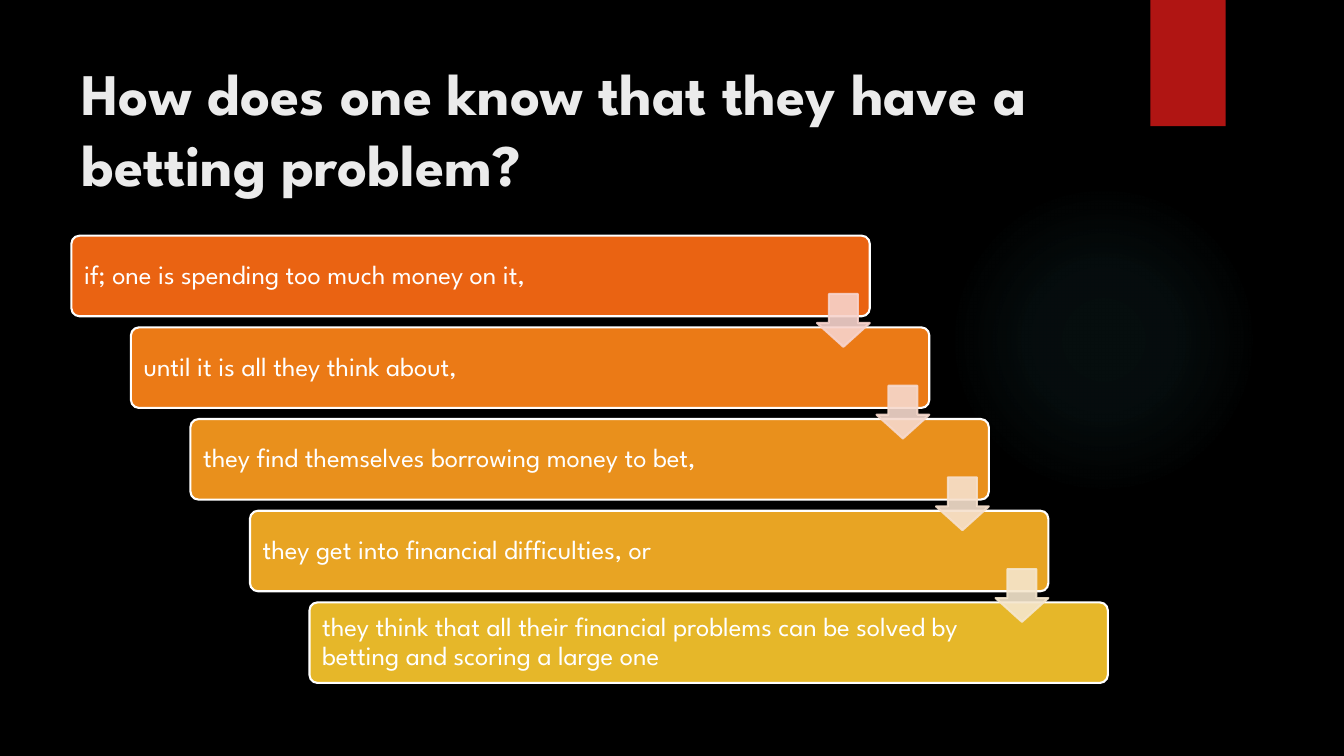
from lxml.etree import SubElement
from pptx import Presentation
from pptx.dml.color import RGBColor
from pptx.enum.shapes import MSO_SHAPE
from pptx.enum.text import MSO_ANCHOR, PP_ALIGN
from pptx.oxml import parse_xml
from pptx.oxml.ns import nsdecls, qn
from pptx.util import Cm, Pt

TITLE = "How does one know that they have a betting problem?"
STEPS = [
    ("if; one is spending too much money on it,", RGBColor(0xEA, 0x63, 0x12)),
    ("until it is all they think about,", RGBColor(0xEB, 0x7A, 0x16)),
    ("they find themselves borrowing money to bet,", RGBColor(0xE9, 0x90, 0x1C)),
    ("they get into financial difficulties, or", RGBColor(0xE8, 0xA4, 0x23)),
    ("they think that all their financial problems can be solved by "
     "betting and scoring a large one", RGBColor(0xE6, 0xB7, 0x29)),
]
ARROW_COLORS = [
    RGBColor(0xF7, 0xD3, 0xCC),
    RGBColor(0xF6, 0xD9, 0xCD),
    RGBColor(0xF6, 0xE0, 0xCD),
    RGBColor(0xF5, 0xE6, 0xCD),
]
GLOW_STOPS = [(0, 7), (36, 6), (69, 0)]

BLACK = RGBColor(0x00, 0x00, 0x00)
WHITE = RGBColor(0xFF, 0xFF, 0xFF)
OFF_WHITE = RGBColor(0xEB, 0xEB, 0xEB)
RED = RGBColor(0xB0, 0x15, 0x13)
TEAL = RGBColor(0x50, 0xB9, 0xC1)
FONT = "League Spartan"

BAR_LEFT, BAR_TOP, BAR_WIDTH, BAR_HEIGHT = 1.8, 5.94, 20.12, 2.03
STEP_X, STEP_Y = 1.5, 2.31
ARROW_SIZE = 1.33
ARROW_LEFT = BAR_LEFT + BAR_WIDTH - ARROW_SIZE
ARROW_TOP = 7.41

BAR_FRAME = {
    "word_wrap": True,
    "vertical_anchor": MSO_ANCHOR.MIDDLE,
    "margin_left": Cm(0.26),
    "margin_right": Cm(3.1),
    "margin_top": Cm(0.2),
    "margin_bottom": Cm(0.2),
}
BAR_PARAGRAPH = {"alignment": PP_ALIGN.LEFT, "line_spacing": 0.9}
BAR_FONT = {"name": FONT, "size": Pt(19), "bold": False}
TITLE_FRAME = {"word_wrap": True, "vertical_anchor": MSO_ANCHOR.MIDDLE}
TITLE_PARAGRAPH = {"alignment": PP_ALIGN.LEFT}
TITLE_FONT = {"name": FONT, "size": Pt(42), "bold": True}


def assign(target, values):
    for name, value in values.items():
        setattr(target, name, value)


def write(sp, text, color, frame, paragraph, font):
    tf = sp.text_frame
    assign(tf, frame)
    p = tf.paragraphs[0]
    assign(p, paragraph)
    r = p.add_run()
    r.text = text
    assign(r.font, font)
    r.font.color.rgb = color


def add_shape(s, kind, left, top, width, height, fill=None, line=None):
    sp = s.shapes.add_shape(kind, Cm(left), Cm(top), Cm(width), Cm(height))
    sp.shadow.inherit = False
    if fill is None:
        sp.fill.background()
    else:
        sp.fill.solid()
        sp.fill.fore_color.rgb = fill
    if line is None:
        sp.line.fill.background()
    else:
        sp.line.color.rgb = line
        sp.line.width = Pt(1.5)
    return sp


def add_glow(s):
    sp = add_shape(s, MSO_SHAPE.OVAL, 23.9, 4.65, 7.82, 7.82)
    stops = "".join(
        f'<a:gs pos="{pos * 1000}"><a:srgbClr val="{TEAL}">'
        f'<a:alpha val="{alpha * 1000}"/></a:srgbClr></a:gs>'
        for pos, alpha in GLOW_STOPS
    )
    gradient = parse_xml(
        f'<a:gradFill {nsdecls("a")} rotWithShape="1"><a:gsLst>{stops}</a:gsLst>'
        '<a:path path="circle"><a:fillToRect l="50000" t="50000" r="50000" b="50000"/>'
        '</a:path></a:gradFill>'
    )
    props = sp._element.spPr
    props.replace(props.find(qn("a:noFill")), gradient)


def add_bar(s, index, text, color):
    sp = add_shape(s, MSO_SHAPE.ROUNDED_RECTANGLE, BAR_LEFT + index * STEP_X,
                   BAR_TOP + index * STEP_Y, BAR_WIDTH, BAR_HEIGHT, color, WHITE)
    sp.adjustments[0] = 0.1
    write(sp, text, WHITE, BAR_FRAME, BAR_PARAGRAPH, BAR_FONT)


def add_arrow(s, index, color):
    sp = add_shape(s, MSO_SHAPE.DOWN_ARROW, ARROW_LEFT + index * STEP_X,
                   ARROW_TOP + index * STEP_Y, ARROW_SIZE, ARROW_SIZE, color, color)
    sp.adjustments[0] = 0.55
    sp.adjustments[1] = 0.45
    for clr in sp._element.spPr.iter(qn("a:srgbClr")):
        SubElement(clr, qn("a:alpha")).set("val", "90000")


def main():
    prs = Presentation()
    prs.slide_width, prs.slide_height = Cm(33.87), Cm(19.05)
    s = prs.slides.add_slide(prs.slide_layouts[6])
    s.background.fill.solid()
    s.background.fill.fore_color.rgb = BLACK

    add_glow(s)
    add_shape(s, MSO_SHAPE.RECTANGLE, 28.99, 0, 1.9, 3.18, RED)
    title = s.shapes.add_textbox(Cm(1.8), Cm(1.27), Cm(26.14), Cm(3.89))
    write(title, TITLE, OFF_WHITE, TITLE_FRAME, TITLE_PARAGRAPH, TITLE_FONT)

    for index, (text, color) in enumerate(STEPS):
        add_bar(s, index, text, color)
    for index, color in enumerate(ARROW_COLORS):
        add_arrow(s, index, color)
    prs.save("out.pptx")


if __name__ == "__main__":
    main()
